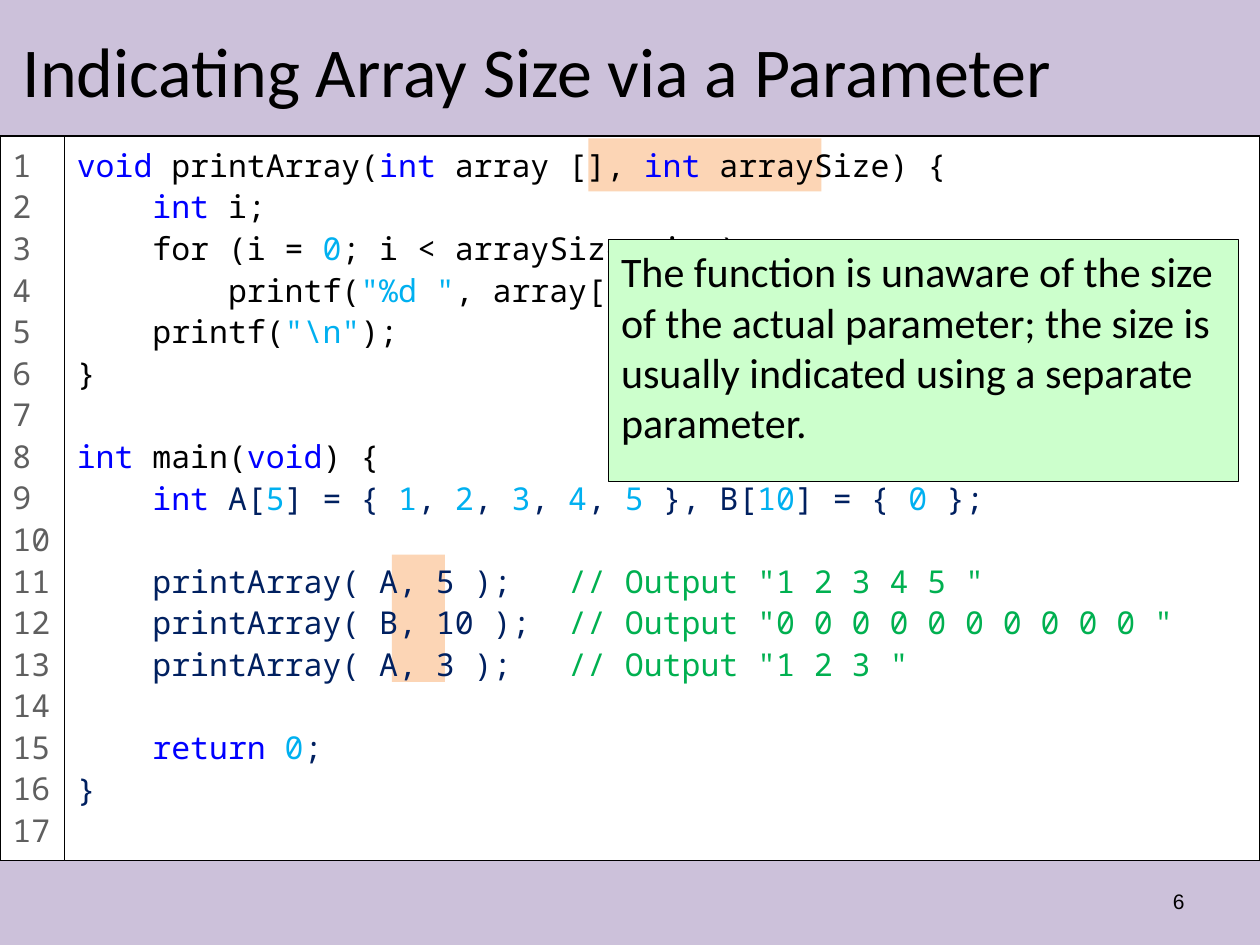
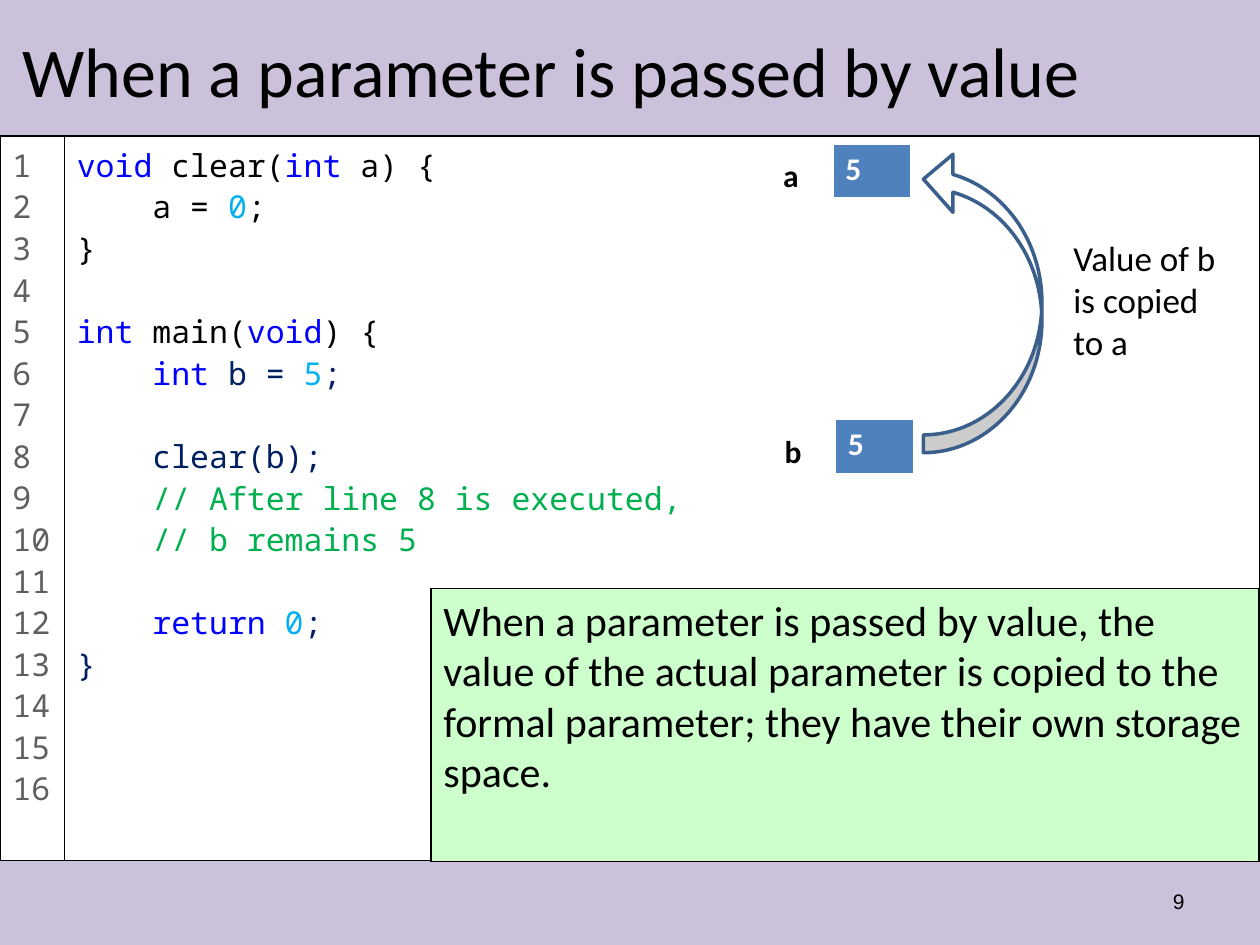
"""Build two slides on passing parameters to C functions."""
from pptx import Presentation
from pptx import util as u
from pptx.dml.color import RGBColor
from pptx.enum import shapes, text

COLOURS = {
    "band": "CCC1DA", "highlight": "FCD5B5", "note": "CCFFCC", "white": "FFFFFF",
    "black": "000000", "gutter": "5F5F5F", "keyword": "0000FF", "literal": "00B0F0",
    "main": "002060", "comment": "00B050", "cell": "4F81BD", "arrow": "3A5F8C",
}
FORMATS = {
    "title": {"name": "Calibri", "size": u.Pt(40)},
    "note": {"name": "Calibri", "size": u.Pt(24)},
    "caption": {"name": "Calibri", "size": u.Pt(20)},
    "variable": {"name": "Calibri", "size": u.Pt(18), "bold": True},
    "code": {"name": "Noto Sans Mono", "size": u.Pt(18)},
    "page": {"name": "Arial", "size": u.Pt(12)},
}
RECTANGLE = shapes.MSO_SHAPE.RECTANGLE
CODE_TOP, CODE_HEIGHT, GUTTER_WIDTH = 2.74, 14.61, 1.3
LINE_PITCH, CHARACTER_WIDTH = 23.8, 10.8
MARKS = {"@": "keyword", "#": "literal"}

PAGES = [
    {
        "title": "Indicating Array Size via a Parameter",
        "number": "6",
        "line_count": 17,
        "highlights": [(7.9, 11.18, 1.07, 2.57), (11.86, 2.79, 4.7, 1.07)],
        "note_place": (12.27, 4.83, 12.7, 4.88),
        "note": "The function is unaware of the size of the actual parameter; "
                "the size is usually indicated using a separate parameter.",
        "code": r'''@void |printArray(|@int |array [], |@int |arraySize) {
    @int |i;
    for (i = |#0|; i < arraySize; i++)
        printf(|#"%d "|, array[i]);
    printf(|#"\n"|);
}

@int| main(|@void|) {
    @int| A[|#5|] = { |#1|, |#2|, |#3|, |#4|, |#5| }, B[|#10|] = { |#0| };

    printArray( A, 5 );   |// Output "1 2 3 4 5 "
    printArray( B, 10 );  |// Output "0 0 0 0 0 0 0 0 0 0 "
    printArray( A, 3 );   |// Output "1 2 3 "

    @return |#0|;
}''',
    },
    {
        "title": "When a parameter is passed by value",
        "number": "9",
        "line_count": 16,
        "highlights": [],
        "note_place": (8.69, 11.86, 16.69, 5.51),
        "note": "When a parameter is passed by value, the value of the actual "
                "parameter is copied to the formal parameter; they have their "
                "own storage space.",
        "code": '''@void| clear(|@int| a) {
    a = |#0|;
}

@int| main(|@void|) {
    @int| b = |#5|;

    clear(b);
    // After line 8 is executed,
    // b remains 5

    @return |#0|;
}''',
    },
]


def add_box(slide, place, kind=None, fill=None, line=None, weight=0.75):
    place = [u.Cm(length) for length in place]
    if kind is None:
        return slide.shapes.add_textbox(*place)
    shape = slide.shapes.add_shape(kind, *place)
    shape.shadow.inherit = False
    for target, colour in ((shape.fill, fill), (shape.line.fill, line)):
        if colour:
            target.solid()
            target.fore_color.rgb = RGBColor.from_string(COLOURS[colour])
        else:
            target.background()
    if line:
        shape.line.width = u.Pt(weight)
    shape.text_frame.word_wrap = True
    shape.text_frame.vertical_anchor = text.MSO_ANCHOR.TOP
    return shape


def write(frame, lines, style, colour="black", **layout):
    for index, line in enumerate(lines):
        paragraph = frame.add_paragraph() if index else frame.paragraphs[0]
        for name, value in {"alignment": text.PP_ALIGN.LEFT, **layout}.items():
            setattr(paragraph, name, value)
        for words, tint in ([(line, colour)] if isinstance(line, str) else line):
            run = paragraph.add_run()
            run.text = words
            run.font.color.rgb = RGBColor.from_string(COLOURS[tint])
            for name, value in FORMATS[style].items():
                setattr(run.font, name, value)


presentation = Presentation()
presentation.slide_width, presentation.slide_height = u.Cm(25.4), u.Cm(19.05)
title_only = presentation.slide_layouts[5]

for page in PAGES:
    slide = presentation.slides.add_slide(title_only)
    if page is PAGES[0]:
        for position, band in enumerate([(0, 0, 25.4, 2.74), (0, 17.35, 25.4, 1.7)]):
            shape = add_box(slide, band, RECTANGLE, "band")
            title_only.element.cSld.spTree.insert(2 + position, shape.element)

    title = slide.shapes.title
    for name, value in {"left": 0.2, "top": 0.46, "width": 24.77, "height": 1.88}.items():
        setattr(title, name, u.Cm(value))
    title.text_frame.vertical_anchor = text.MSO_ANCHOR.MIDDLE
    title.text_frame.auto_size = text.MSO_AUTO_SIZE.NONE
    write(title.text_frame, [page["title"]], "title")

    for place in page["highlights"]:
        add_box(slide, place, RECTANGLE, "highlight")

    number = add_box(slide, (18.21, 17.65, 5.92, 1.02)).text_frame
    number.word_wrap = True
    number.vertical_anchor = text.MSO_ANCHOR.MIDDLE
    write(number, [page["number"]], "page", alignment=text.PP_ALIGN.RIGHT)

    code_lines, indents, gaps = [], [], []
    base, gap = "black", 0
    for source in page["code"].splitlines():
        if not source:
            gap += 1
            continue
        code = source.lstrip()
        runs = []
        for token in code.split("|"):
            if token[0] in MARKS:
                runs.append((token[1:], MARKS[token[0]]))
            else:
                runs.append((token, "comment" if token.startswith("//") else base))
        code_lines.append(runs)
        indents.append(len(source) - len(code))
        gaps.append(gap)
        gap = 0
        if "main(" in code:
            base = "main"

    listing = add_box(slide, (GUTTER_WIDTH, CODE_TOP, 25.4 - GUTTER_WIDTH, CODE_HEIGHT),
                      RECTANGLE, line="black").text_frame
    write(listing, code_lines, "code", line_spacing=1.1)
    for paragraph, indent, gap in zip(listing.paragraphs, indents, gaps):
        paragraph.space_before = u.Pt(gap * LINE_PITCH)
        properties = paragraph._p.get_or_add_pPr()
        properties.set("marL", str(u.Pt(indent * CHARACTER_WIDTH)))
        properties.set("indent", "0")

    gutter = add_box(slide, (0, CODE_TOP, GUTTER_WIDTH, CODE_HEIGHT),
                     RECTANGLE, "white", "black").text_frame
    gutter.margin_right = 0
    line_numbers = [str(line) for line in range(1, page["line_count"] + 1)]
    write(gutter, line_numbers, "code", "gutter", line_spacing=1.1)

    note = add_box(slide, page["note_place"], RECTANGLE, "note", "black")
    write(note.text_frame, [page["note"]], "note", space_before=u.Pt(4.8))

for variable, label_place, cell_place in [
    ("b", (15.57, 8.59, 0.86, 1.02), (16.84, 8.46, 1.57, 1.09)),
    ("a", (15.54, 3.02, 0.84, 1.02), (16.79, 2.9, 1.57, 1.09)),
]:
    table = slide.shapes.add_table(1, 1, *[u.Cm(length) for length in cell_place]).table
    cell = table.cell(0, 0)
    cell.fill.solid()
    cell.fill.fore_color.rgb = RGBColor.from_string(COLOURS["cell"])
    write(cell.text_frame, ["5"], "variable", "white")
    label = add_box(slide, label_place).text_frame
    label.word_wrap = False
    write(label, [variable], "variable")

copy_arrow = add_box(slide, (16.76, 4.88, 6.1, 2.39), shapes.MSO_SHAPE.CURVED_UP_ARROW,
                     "white", "arrow", 2)
copy_arrow.rotation = 270
for index, adjustment in enumerate([0.15, 0.49, 0.25]):
    copy_arrow.adjustments[index] = adjustment

caption = add_box(slide, (21.39, 4.65, 3.4, 2.82)).text_frame
caption.word_wrap = False
write(caption, ["Value of b", "is copied", "to a"], "caption")

presentation.save("out.pptx")
